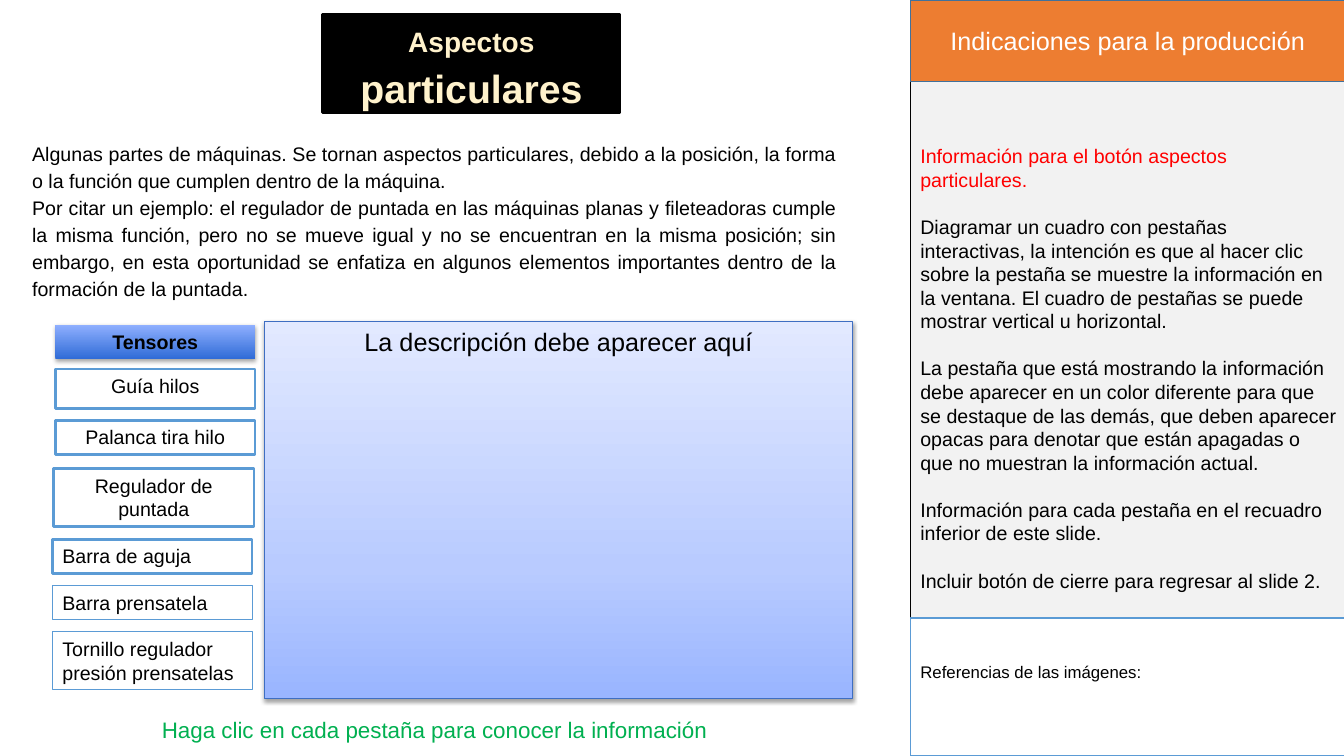
import pptx
import pptx.dml.color
import pptx.enum.shapes
import pptx.enum.text
import pptx.oxml
import pptx.oxml.ns
import pptx.util

PX = 9144  # EMU per px, 100 px to the inch
BLACK, WHITE, BLUE = "000000", "FFFFFF", "5B9BD5"
ALIGN = pptx.enum.text.PP_ALIGN
ANCHOR = pptx.enum.text.MSO_ANCHOR
NS = pptx.oxml.ns.nsdecls("a")


def color(code):
    return pptx.dml.color.RGBColor.from_string(code)


class Page:
    font = "Arial"

    def __init__(self, slide):
        self.slide = slide

    def box(self, place, fill=None, line=None, width=1):
        """Rectangle; fill is a hex string or a list of gradient stops."""
        kind = pptx.enum.shapes.MSO_SHAPE.RECTANGLE
        shape = self.slide.shapes.add_shape(kind, *[n * PX for n in place])
        shape.shadow.inherit = False
        if isinstance(fill, list):
            self.fade(shape, fill)
        elif fill:
            shape.fill.solid()
            shape.fill.fore_color.rgb = color(fill)
        else:
            shape.fill.background()
        if line:
            shape.line.color.rgb = color(line)
            shape.line.width = pptx.util.Pt(width)
        else:
            shape.line.fill.background()
        return shape

    def fade(self, shape, stops):
        """Gradient that runs from the bottom to the top."""
        marks = "".join(f'<a:gs pos="{pos * 1000}"><a:srgbClr val="{code}"/></a:gs>'
                        for pos, code in stops)
        shape._element.spPr.insert(2, pptx.oxml.parse_xml(
            f'<a:gradFill {NS} rotWithShape="1"><a:gsLst>{marks}</a:gsLst>'
            '<a:lin ang="16200000" scaled="0"/></a:gradFill>'))

    def shade(self, shape, alpha, dist):
        """Soft shadow that falls straight down."""
        effect = shape._element.spPr.find(pptx.oxml.ns.qn("a:effectLst"))
        effect.append(pptx.oxml.parse_xml(
            f'<a:outerShdw {NS} blurRad="{pptx.util.Pt(3.1)}" dist="{pptx.util.Pt(dist)}" '
            'dir="5400000" rotWithShape="0"><a:srgbClr val="000000">'
            f'<a:alpha val="{alpha * 1000}"/></a:srgbClr></a:outerShdw>'))

    def label(self, place, *paras, **style):
        """Text box without fill or line."""
        shape = self.slide.shapes.add_textbox(*[n * PX for n in place])
        self.letter(shape, *paras, **style)
        return shape

    def letter(self, shape, *paras, size=14, ink=BLACK, align=ALIGN.LEFT, bold=False,
               anchor=ANCHOR.TOP, lead=None, gap=0, foot=5):
        """Put paragraphs of one style into a shape."""
        frame = shape.text_frame
        frame.word_wrap = True
        frame.vertical_anchor = anchor
        frame.margin_left = frame.margin_right = 10 * PX
        frame.margin_top, frame.margin_bottom = 5 * PX, foot * PX
        for i, text in enumerate(paras):
            para = frame.add_paragraph() if i else frame.paragraphs[0]
            para.add_run().text = text
            para.alignment = align
            if lead:
                para.line_spacing = lead
            if i and gap:
                para.space_before = pptx.util.Pt(gap)
            para.font.name = self.font
            para.font.size = pptx.util.Pt(size)
            para.font.bold = bold
            para.font.color.rgb = color(ink)


def main():
    deck = pptx.Presentation()
    deck.slide_width, deck.slide_height = 1333 * PX, 750 * PX
    page = Page(deck.slides.add_slide(deck.slide_layouts[6]))
    mid = ALIGN.CENTER

    # Side panel with notes for production
    page.box((903, 0, 431, 750), "F2F2F2", BLACK)
    notes = page.label(
        (903, 138, 433, 330),
        "Información para el botón aspectos particulares.",
        "Diagramar un cuadro con pestañas interactivas, la intención es que al hacer clic "
        "sobre la pestaña se muestre la información en la ventana. El cuadro de pestañas "
        "se puede mostrar vertical u horizontal.",
        "La pestaña que está mostrando la información debe aparecer en un color diferente "
        "para que se destaque de las demás, que deben aparecer opacas para denotar que "
        "están apagadas o que no muestran la información actual.",
        "Información para cada pestaña en el recuadro inferior de este slide.",
        "Incluir botón de cierre para regresar al slide 2.", gap=17)
    notes.text_frame.paragraphs[0].font.color.rgb = color("FF0000")
    head = page.box((903, 0, 431, 81), "ED7D31", "42719B")
    page.letter(head, "Indicaciones para la producción", size=18, ink=WHITE, align=mid,
                anchor=ANCHOR.MIDDLE)
    refs = page.box((903, 613, 432, 137), WHITE, BLUE)
    page.letter(refs, "Referencias de las imágenes:", size=12, anchor=ANCHOR.MIDDLE, foot=34)

    # Title in two sizes
    title = page.box((320, 14, 295, 98), BLACK, BLACK, 2)
    page.letter(title, "Aspectos ", size=20, ink="FFF2CC", align=mid, bold=True, lead=1.15)
    large = title.text_frame.paragraphs[0].add_run()
    large.text = "particulares"
    large.font.size = pptx.util.Pt(28)

    # Opening text
    page.label(
        (22, 132, 818, 173),
        "Algunas partes de máquinas. Se tornan aspectos particulares, debido a la posición, "
        "la forma o la función que cumplen dentro de la máquina.",
        "Por citar un ejemplo: el regulador de puntada en las máquinas planas y fileteadoras "
        "cumple la misma función, pero no se mueve igual y no se encuentran en la misma "
        "posición; sin embargo, en esta oportunidad se enfatiza en algunos elementos "
        "importantes dentro de la formación de la puntada.",
        align=ALIGN.JUSTIFY, lead=1.15)

    # Window for the description
    pane = page.box((262, 319, 584, 374),
                    [(0, "99B5FF"), (35, "B9CBFF"), (100, "E2E9FF")], "3E6EC2", 0.75)
    page.shade(pane, 37, 1.6)
    page.letter(pane, "La descripción debe aparecer aquí", size=18, align=mid)
    page.label((109, 706, 644, 37), "Haga clic en cada pestaña para conocer la información",
               size=16, ink="00B050", align=mid)

    # Active tab
    tab = page.box((55, 322, 198, 34), [(0, "306CD7"), (100, "90B0FF")])
    page.shade(tab, 34, 1.8)
    page.letter(tab, "Tensores", align=mid, bold=True)

    # Other tabs: text, left, top, width, height, fill, line width, alignment
    for text, left, top, wide, high, fill, line, align in [
        ("Guía hilos", 55, 366, 198, 39, WHITE, 2, mid),
        ("Palanca tira hilo", 55, 417, 198, 34, WHITE, 2, mid),
        ("Regulador de puntada", 53, 465, 199, 57, WHITE, 2, mid),
        ("Barra de aguja", 52, 535, 198, 34, WHITE, 2, ALIGN.LEFT),
        ("Barra prensatela", 52, 581, 198, 34, None, 0.75, ALIGN.LEFT),
        ("Tornillo regulador presión prensatelas", 52, 627, 198, 57, None, 0.75, ALIGN.LEFT),
    ]:
        tab = page.box((left, top, wide, high), fill, BLUE, line)
        page.letter(tab, text, align=align)

    deck.save("out.pptx")


if __name__ == "__main__":
    main()
